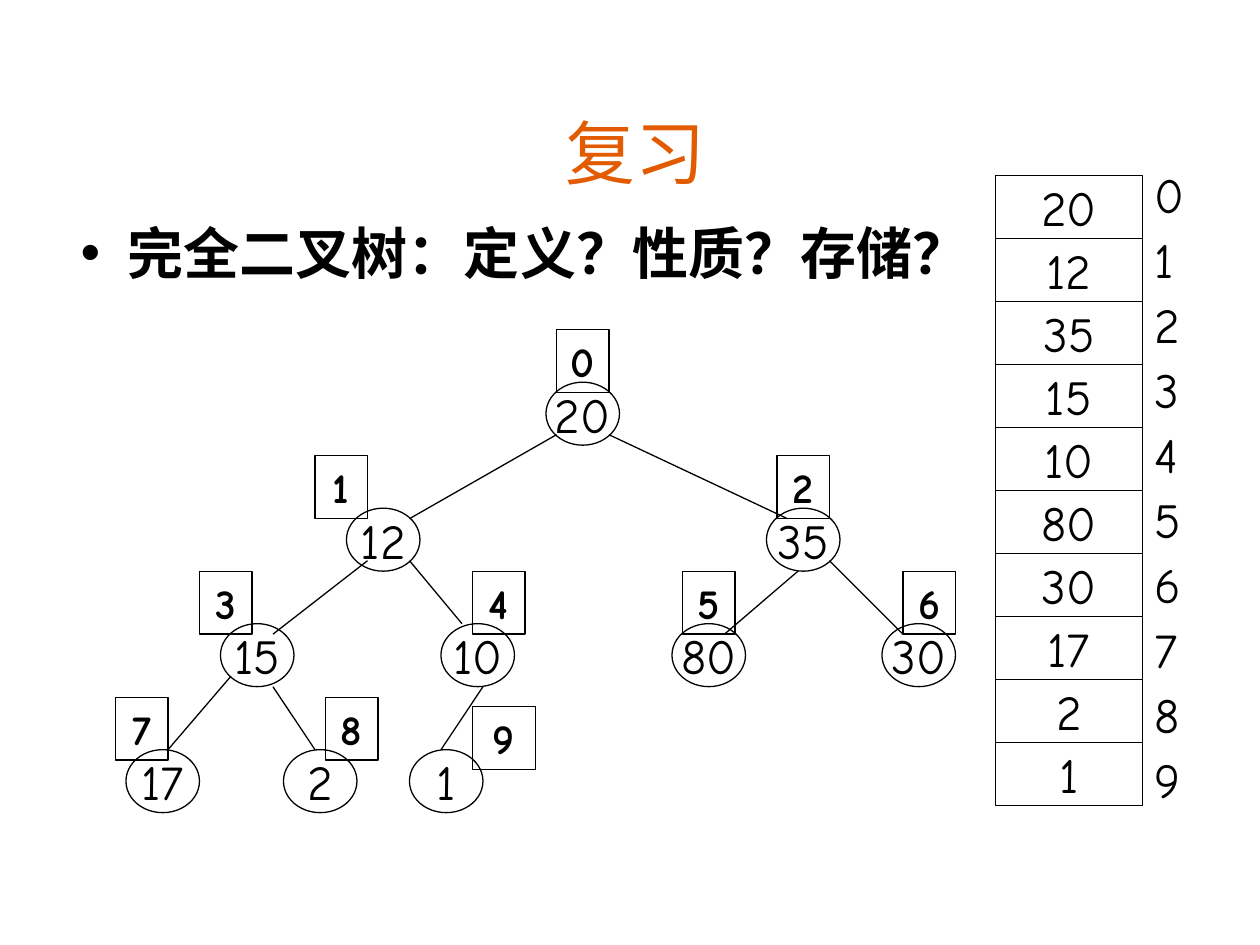
from lxml.etree import SubElement
from pptx import Presentation
from pptx.dml.color import RGBColor
from pptx.enum.shapes import MSO_CONNECTOR, MSO_SHAPE
from pptx.enum.text import MSO_ANCHOR, PP_ALIGN
from pptx.oxml.ns import qn
from pptx.util import Pt

PX = 914400 // 120  # 120 px to the inch
COLORS = {"ink": "000000", "title": "E25B00"}
FONT = "Comic Neue"

TITLE = "复习"
QUESTION = "完全二叉树：定义？性质？存储？"
VALUES = [20, 12, 35, 15, 10, 80, 30, 17, 2, 1]

# Tree: left edges of nodes and index tags, in heap order
LEVEL_TOPS = [364, 484, 594, 714]
NODE_LEFTS = [520, 330, 730, 210, 420, 640, 840, 120, 270, 390]
TAG_LEFTS = [530, 300, 740, 190, 450, 650, 860, 110, 310, 450]
NODE_SIZE = (70, 60)
TAG_SIZE, LAST_TAG_SIZE = (50, 60), (60, 60)
TAG_RISE, LAST_TAG_RISE = 50, 41
EDGES = [
    (530, 414, 390, 494), (580, 414, 750, 494),
    (350, 534, 260, 604), (390, 534, 440, 594),
    (760, 544, 690, 604), (790, 534, 860, 604),
    (220, 644, 160, 714), (260, 654, 300, 714),
    (460, 654, 420, 714),
]

# Array: stacked cells with indices at the right
ARRAY_LEFT, ARRAY_TOP = 948, 167
CELL_SIZE = (140, 60)
INDEX_BOX = (1088, 151, 42, 625)


def emu(*lengths):
    return [length * PX for length in lengths]


def write(frame, lines, points, color="ink", bold=False,
          align=PP_ALIGN.CENTER, anchor=MSO_ANCHOR.TOP, wrap=True, gap=0):
    frame.word_wrap = wrap
    frame.vertical_anchor = anchor
    for i, line in enumerate(lines):
        paragraph = frame.paragraphs[0] if i == 0 else frame.add_paragraph()
        paragraph.text = str(line)
        paragraph.alignment = align
        paragraph.space_before = Pt(gap if i else 0)
        paragraph.font.name = FONT
        paragraph.font.size = Pt(points)
        paragraph.font.bold = bold
        paragraph.font.color.rgb = RGBColor.from_string(COLORS[color])


def outline(line):
    line.color.rgb = RGBColor.from_string(COLORS["ink"])
    line.width = Pt(0.75)


def add_outlined(slide, preset, left, top, size, label, **style):
    shape = slide.shapes.add_shape(preset, *emu(left, top, *size))
    shape.shadow.inherit = False
    shape.fill.background()
    outline(shape.line)
    write(shape.text_frame, [label], **style)


def add_edge(slide, *ends):
    edge = slide.shapes.add_connector(MSO_CONNECTOR.STRAIGHT, *emu(*ends))
    outline(edge.line)
    SubElement(edge._element.spPr, qn("a:effectLst"))


def add_bullet(paragraph, indent):
    properties = paragraph._p.get_or_add_pPr()
    properties.set("marL", str(indent * PX))
    properties.set("indent", str(-indent * PX))
    SubElement(properties, qn("a:buFont")).set("typeface", "Arial")
    SubElement(properties, qn("a:buChar")).set("char", "•")


def main():
    prs = Presentation()
    prs.slide_width, prs.slide_height = emu(1200, 900)
    slide = prs.slides.add_slide(prs.slide_layouts[6])

    # Heading and question
    title = slide.shapes.add_textbox(*emu(90, 90, 1030, 100))
    write(title.text_frame, [TITLE], 40, "title", anchor=MSO_ANCHOR.BOTTOM)
    question = slide.shapes.add_textbox(*emu(65, 202, 1030, 107))
    add_bullet(question.text_frame.paragraphs[0], 45)
    write(question.text_frame, [QUESTION], 32, bold=True, align=PP_ALIGN.LEFT)

    # Tree nodes, edges and index tags
    value_style = dict(points=28, anchor=MSO_ANCHOR.MIDDLE, wrap=False)
    node_tops = [LEVEL_TOPS[(i + 1).bit_length() - 1] for i in range(len(VALUES))]
    for left, top, value in zip(NODE_LEFTS, node_tops, VALUES):
        add_outlined(slide, MSO_SHAPE.FLOWCHART_CONNECTOR, left, top,
                     NODE_SIZE, value, **value_style)
    for ends in EDGES:
        add_edge(slide, *ends)
    for i, (left, top) in enumerate(zip(TAG_LEFTS, node_tops)):
        last = i == len(VALUES) - 1
        add_outlined(slide, MSO_SHAPE.RECTANGLE, left,
                     top - (LAST_TAG_RISE if last else TAG_RISE),
                     LAST_TAG_SIZE if last else TAG_SIZE, i, points=24, bold=True)

    # Array cells and indices
    for i, value in enumerate(VALUES):
        add_outlined(slide, MSO_SHAPE.FLOWCHART_PROCESS, ARRAY_LEFT,
                     ARRAY_TOP + i * CELL_SIZE[1], CELL_SIZE, value, **value_style)
    indices = slide.shapes.add_textbox(*emu(*INDEX_BOX))
    write(indices.text_frame, range(len(VALUES)), 28, gap=3.5)

    prs.save("out.pptx")


if __name__ == "__main__":
    main()
